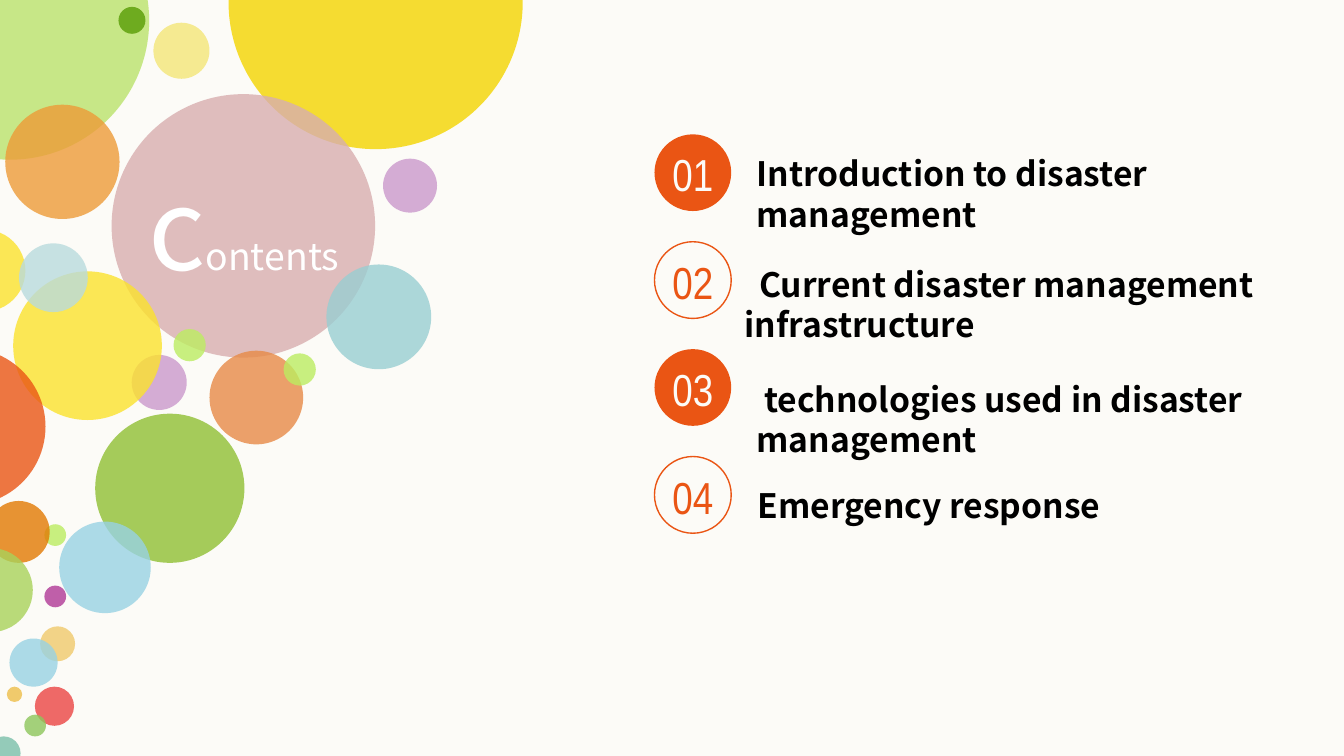
from lxml.etree import SubElement
from pptx import Presentation
from pptx.dml.color import RGBColor
from pptx.enum.shapes import MSO_SHAPE
from pptx.enum.text import MSO_AUTO_SIZE, PP_ALIGN
from pptx.oxml.ns import qn
from pptx.util import Cm, Pt

COLOURS = {
    "paper": "FCFBF7", "white": "FFFFFF", "black": "000000", "accent": "EA5514",
    "lime": "BAE36B", "leaf": "6EAB1F", "apricot": "ED9B38", "cream": "F5EA91",
    "yellow": "F4D500", "rose": "D8AEAF", "teal": "99CED2", "lilac": "CB99CC",
    "copper": "E78A47", "green": "A5CB5A", "sprout": "BCED61", "lemon": "FBE22D",
    "magenta": "B03896", "sand": "F0CA6C", "jade": "7BBFAA", "red": "EB4544",
    "grass": "8DC65B", "sky": "98D2E3", "mist": "B9DBDD", "orange": "E27902",
    "meadow": "A9D25A",
}
TEXT_FONT = "Noto Sans CJK SC"
NUMBER_FONT = "Arial Narrow"

BUBBLES = [
    (-2.44, -2.24, 5.26, "lime", 80), (2.24, 0.13, 0.51, "leaf", 100),
    (0.10, 1.98, 2.16, "apricot", 80), (2.90, 0.43, 1.06, "cream", 100),
    (4.32, -2.74, 5.56, "yellow", 80), (2.11, 1.78, 4.98, "rose", 80),
    (6.17, 5.00, 1.98, "teal", 80), (7.24, 3.00, 1.02, "lilac", 80),
    (3.96, 6.63, 1.77, "copper", 80), (1.80, 7.82, 2.82, "green", 100),
    (5.36, 6.68, 0.61, "sprout", 80), (3.28, 6.22, 0.61, "sprout", 80),
    (2.49, 6.71, 1.04, "lilac", 80), (0.25, 5.13, 2.81, "lemon", 80),
    (-1.07, 4.34, 1.55, "lemon", 80), (0.84, 9.91, 0.41, "sprout", 80),
    (0.84, 11.07, 0.41, "magenta", 80), (0.76, 11.84, 0.66, "sand", 80),
    (0.13, 12.98, 0.29, "sand", 100), (-0.25, 13.92, 0.64, "jade", 80),
    (0.66, 12.98, 0.74, "red", 80), (0.46, 13.51, 0.41, "grass", 80),
    (0.18, 12.07, 0.91, "sky", 80), (0.36, 4.60, 1.30, "mist", 80),
    (1.12, 9.86, 1.73, "sky", 80), (-0.23, 9.47, 1.17, "orange", 80),
    (-0.97, 10.36, 1.59, "meadow", 80), (-2.11, 6.58, 2.97, "accent", 80),
]

CHAPTERS = [
    {"text": "Introduction to disaster management", "box": (1.93, 0.36, 10.46, 1.55)},
    {"text": "Current disaster management infrastructure",
     "box": (1.70, 0.41, 9.98, 1.55), "indent": 0.28},
    {"text": "technologies used in disaster management",
     "box": (1.93, 0.56, 10.46, 1.55), "indent": 0.14},
    {"text": "Emergency response", "box": (1.70, 0.41, 9.27, 1.02), "margins": (0.25, 0.13)},
]


def colour(name):
    """Return the named palette colour."""
    return RGBColor.from_string(COLOURS[name])


def add_circle(slide, left, top, diameter, fill=None, line=None, opacity=100):
    """Add a circle, filled or outlined."""
    shape = slide.shapes.add_shape(
        MSO_SHAPE.OVAL, Cm(left), Cm(top), Cm(diameter), Cm(diameter))
    shape.shadow.inherit = False
    if fill:
        shape.fill.solid()
        shape.fill.fore_color.rgb = colour(fill)
        if opacity < 100:
            element = shape.fill._xPr.find(".//" + qn("a:srgbClr"))
            SubElement(element, qn("a:alpha")).set("val", str(opacity * 1000))
    else:
        shape.fill.background()
    if line:
        shape.line.color.rgb = colour(line)
        shape.line.width = Pt(0.75)
    else:
        shape.line.fill.background()


def add_text(slide, box, runs, font=TEXT_FONT, color="black", bold=False,
             align=PP_ALIGN.LEFT, indent=0, margins=(0, 0)):
    """Add one paragraph of (text, size) runs in a box."""
    frame = slide.shapes.add_textbox(*map(Cm, box)).text_frame
    frame.word_wrap = True
    frame.auto_size = MSO_AUTO_SIZE.SHAPE_TO_FIT_TEXT
    frame.margin_left = frame.margin_right = Cm(margins[0])
    frame.margin_top = frame.margin_bottom = Cm(margins[1])
    paragraph = frame.paragraphs[0]
    paragraph.alignment = align
    if indent:
        properties = paragraph._p.get_or_add_pPr()
        properties.set("marL", "0")
        properties.set("indent", str(Cm(indent)))
    for text, size in runs:
        run = paragraph.add_run()
        run.text = text
        run.font.name = font
        run.font.size = Pt(size)
        run.font.bold = bold
        run.font.color.rgb = colour(color)


def add_bubbles(slide, left, top):
    """Place the bubble cluster and its heading."""
    for x, y, diameter, fill, opacity in BUBBLES:
        add_circle(slide, left + x, top + y, diameter, fill=fill, opacity=opacity)
    add_text(slide, (left + 2.69, top + 3, 3.84, 2.57), [("c", 60), ("ontents", 20)],
             color="white", align=PP_ALIGN.CENTER)


def add_chapters(slide, left, top, pitch=2.03, diameter=1.45):
    """Place the numbered chapters, alternating filled and outlined badges."""
    for index, chapter in enumerate(CHAPTERS):
        row = top + index * pitch
        filled = index % 2 == 0
        badge = {"fill": "accent"} if filled else {"line": "accent"}
        add_circle(slide, left, row, diameter, **badge)
        add_text(slide, (left, row + 0.24, diameter, 1.02), [(f"{index + 1:02}", 24)],
                 font=NUMBER_FONT, color="paper" if filled else "accent",
                 align=PP_ALIGN.CENTER)
        x, y, width, height = chapter["box"]
        add_text(slide, (left + x, row + y, width, height), [(chapter["text"], 18)],
                 bold=True, indent=chapter.get("indent", 0),
                 margins=chapter.get("margins", (0, 0)))


def main():
    """Build and save the contents slide."""
    presentation = Presentation()
    presentation.slide_width = Cm(25.4)
    presentation.slide_height = Cm(14.29)
    slide = presentation.slides.add_slide(presentation.slide_layouts[6])
    slide.background.fill.solid()
    slide.background.fill.fore_color.rgb = colour("paper")
    add_bubbles(slide, 0, 0)
    add_chapters(slide, 12.37, 2.54)
    presentation.save("out.pptx")


if __name__ == "__main__":
    main()
